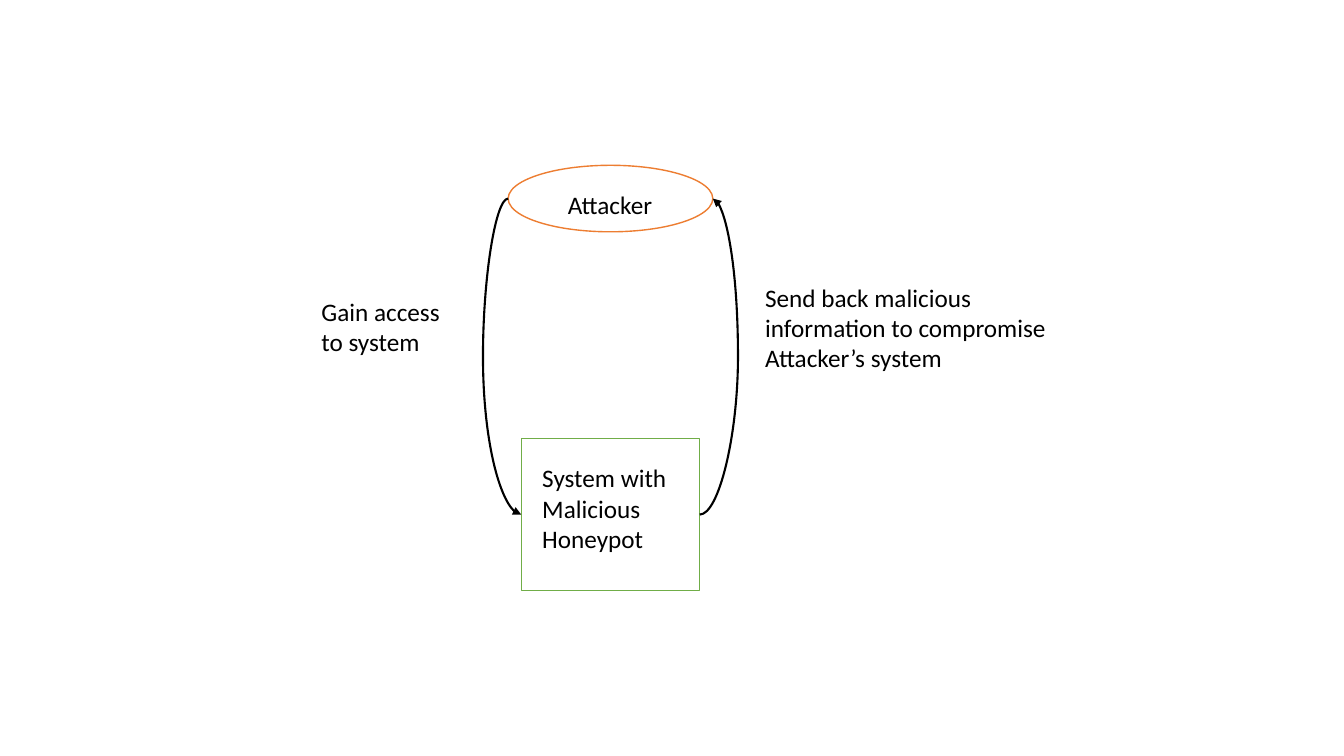
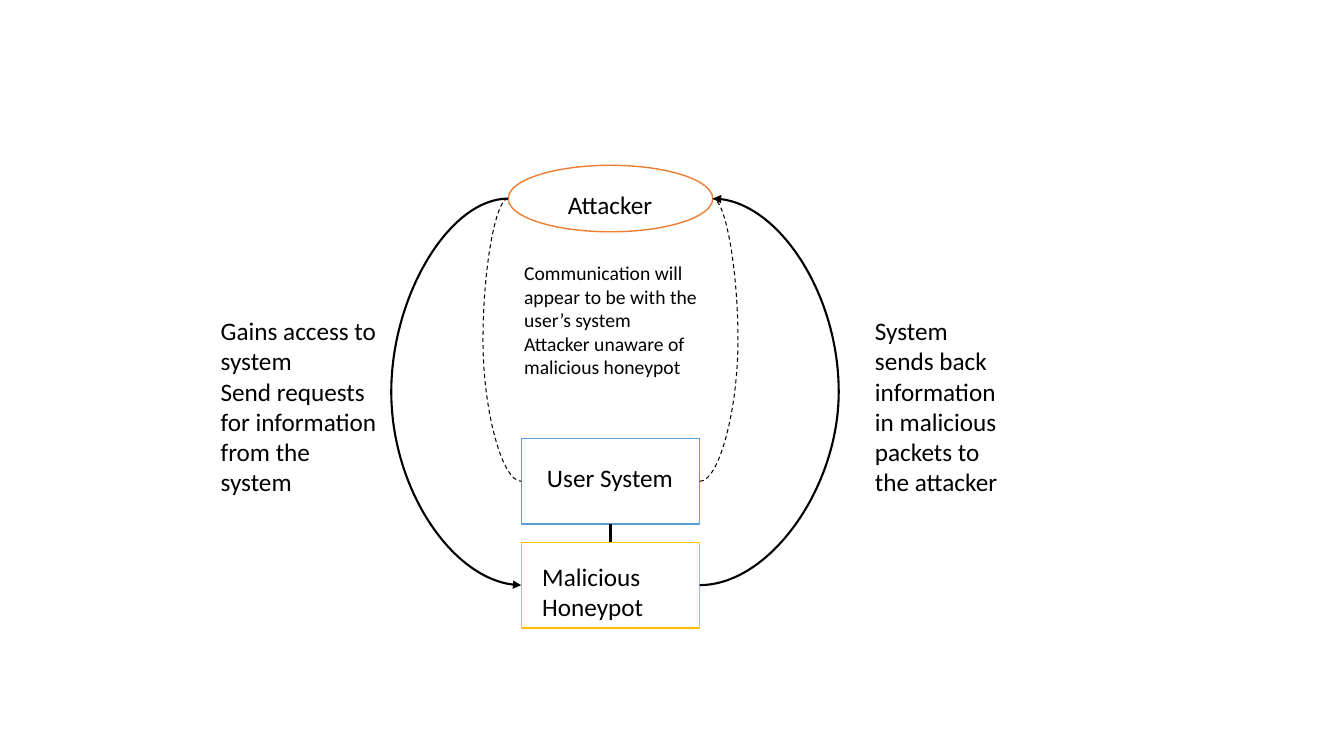
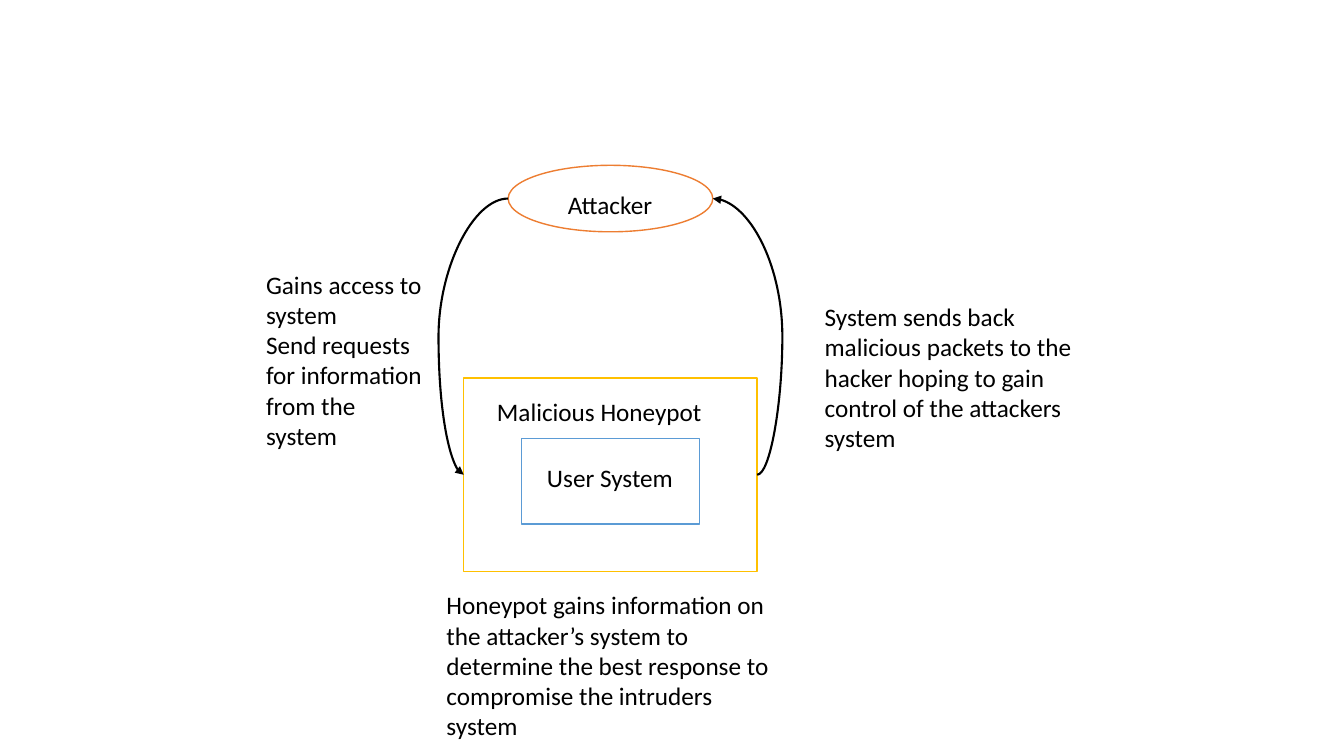
from lxml import etree
from pptx import Presentation
from pptx.dml.color import RGBColor
from pptx.enum import dml, shapes, text
from pptx.oxml import ns
from pptx.util import Inches, Pt

BLACK = RGBColor(0x00, 0x00, 0x00)
WHITE = RGBColor(0xFF, 0xFF, 0xFF)
GREEN = RGBColor(0x70, 0xAD, 0x47)
ORANGE = RGBColor(0xED, 0x7D, 0x31)
BLUE = RGBColor(0x5B, 0x9B, 0xD5)
GOLD = RGBColor(0xFF, 0xC0, 0x00)

RECTANGLE = shapes.MSO_SHAPE.RECTANGLE
OVAL = shapes.MSO_SHAPE.OVAL
REQUEST = ("Gains access to system", "Send requests for information from the system")


def write(frame, *lines, size=18, font="Calibri", color=BLACK, align=text.PP_ALIGN.LEFT):
    """Write one paragraph per line into a text frame."""
    for number, line in enumerate(lines):
        para = frame.add_paragraph() if number else frame.paragraphs[0]
        para.alignment = align
        span = para.add_run()
        span.text = line
        span.font.size = Pt(size)
        span.font.name = font
        span.font.color.rgb = color


class Diagram:
    """Draws the attack diagrams, one page at a time."""

    def __init__(self):
        """Open a widescreen deck."""
        self.deck = Presentation()
        self.deck.slide_width = Inches(13.33)
        self.deck.slide_height = Inches(7.5)
        self.page = None
        self.attacker = None

    def start_page(self):
        """Add a blank page with the attacker on it."""
        self.page = self.deck.slides.add_slide(self.deck.slide_layouts[6])
        self.attacker = self.node(5.04, 1.64, 2.03, 0.66, ORANGE, OVAL)
        self.label(5.28, 1.83, 1.54, 0.4, "Attacker", align=text.PP_ALIGN.CENTER)

    def node(self, left, top, width, height, color, kind=RECTANGLE):
        """Add a white outlined shape."""
        box = self.page.shapes.add_shape(
            kind, Inches(left), Inches(top), Inches(width), Inches(height))
        box.shadow.inherit = False
        box.fill.solid()
        box.fill.fore_color.rgb = WHITE
        box.line.color.rgb = color
        box.line.width = Pt(1)
        return box

    def user_system(self):
        """Add the user system with its name."""
        box = self.node(5.17, 4.35, 1.77, 0.85, BLUE)
        self.label(5.28, 4.54, 1.54, 0.4, "User System", align=text.PP_ALIGN.CENTER)
        return box

    def label(self, left, top, width, height, *lines, **style):
        """Add a wrapping text box."""
        box = self.page.shapes.add_textbox(
            Inches(left), Inches(top), Inches(width), Inches(height))
        box.text_frame.word_wrap = True
        write(box.text_frame, *lines, **style)

    def connector(self, kind, start, end, width=1.5, dashed=False, arrow=False):
        """Add a black connector between two points."""
        line = self.page.shapes.add_connector(kind, *start, *end)
        line.line.color.rgb = BLACK
        line.line.width = Pt(width)
        if dashed:
            line.line.dash_style = dml.MSO_LINE.DASH
        if arrow:
            etree.SubElement(line.line._get_or_add_ln(), ns.qn("a:tailEnd"), type="triangle")
        etree.SubElement(line._element.spPr, ns.qn("a:effectLst"))
        return line

    def curve(self, start, end, bend, **style):
        """Add a curve whose middle touches the horizontal position bend."""
        line = self.connector(shapes.MSO_CONNECTOR.CURVE, start, end, **style)
        share = round((bend - start[0]) / (end[0] - start[0]) * 100000)
        guides = line._element.spPr.find(ns.qn("a:prstGeom")).find(ns.qn("a:avLst"))
        etree.SubElement(guides, ns.qn("a:gd"), name="adj1", fmla=f"val {share}")

    def loop(self, box, left_bend, right_bend, **style):
        """Curve from the attacker to a box on the left and back on the right."""
        ends = []
        for item in (self.attacker, box):
            middle = item.top + item.height // 2
            ends.append(((item.left, middle), (item.left + item.width, middle)))
        (attacker_left, attacker_right), (box_left, box_right) = ends
        self.curve(attacker_left, box_left, Inches(left_bend), **style)
        self.curve(box_right, attacker_right, Inches(right_bend), **style)

    def join(self, lower, upper):
        """Join the top of one box to the bottom of another."""
        line = self.connector(shapes.MSO_CONNECTOR.STRAIGHT, (0, 0), (0, 0))
        line.begin_connect(lower, 0)
        line.end_connect(upper, 2)


def direct_attack(diagram):
    """Draw a system that is itself the honeypot."""
    diagram.start_page()
    system = diagram.node(5.17, 4.35, 1.77, 1.51, GREEN)
    diagram.loop(system, 4.79, 7.32, arrow=True)
    diagram.label(5.28, 4.54, 1.54, 1.01, "System with Malicious Honeypot")
    diagram.label(3.09, 2.89, 1.43, 0.71, "Gain access to system")
    diagram.label(7.49, 2.75, 3.37, 1.01,
                  "Send back malicious information to compromise Attacker’s system")


def hidden_honeypot(diagram):
    """Draw a honeypot behind the user system."""
    diagram.start_page()
    user = diagram.user_system()
    honeypot = diagram.node(5.17, 5.38, 1.77, 0.85, GOLD)
    diagram.loop(user, 4.79, 7.32, width=0.75, dashed=True)
    diagram.loop(honeypot, 3.88, 8.32, arrow=True)
    diagram.join(honeypot, user)
    diagram.label(5.28, 5.52, 1.54, 0.71, "Malicious Honeypot")
    diagram.label(5.1, 2.54, 1.97, 1.28,
                  "Communication will appear to be with the user’s system",
                  "Attacker unaware of malicious honeypot", size=14)
    diagram.label(2.09, 3.08, 1.79, 1.92, *REQUEST)
    diagram.label(8.58, 3.08, 1.43, 1.92,
                  "System sends back information in malicious packets to the attacker")


def enclosing_honeypot(diagram):
    """Draw a honeypot around the user system."""
    diagram.start_page()
    honeypot = diagram.node(4.6, 3.75, 2.91, 1.92, GOLD)
    diagram.user_system()
    diagram.loop(honeypot, 4.35, 7.76, arrow=True)
    diagram.label(4.83, 3.88, 2.48, 0.4, "Malicious Honeypot")
    diagram.label(4.33, 5.8, 3.4, 1.62,
                  "Honeypot gains information on the attacker’s system to determine "
                  "the best response to compromise the intruders system")
    diagram.label(8.08, 2.94, 2.91, 1.62,
                  "System sends back malicious packets to the hacker hoping to gain "
                  "control of the attackers system")
    diagram.label(2.54, 2.62, 1.79, 1.92, *REQUEST)


def main():
    """Build and save the deck."""
    diagram = Diagram()
    for draw in (direct_attack, hidden_honeypot, enclosing_honeypot):
        draw(diagram)
    diagram.deck.save("out.pptx")


if __name__ == "__main__":
    main()
